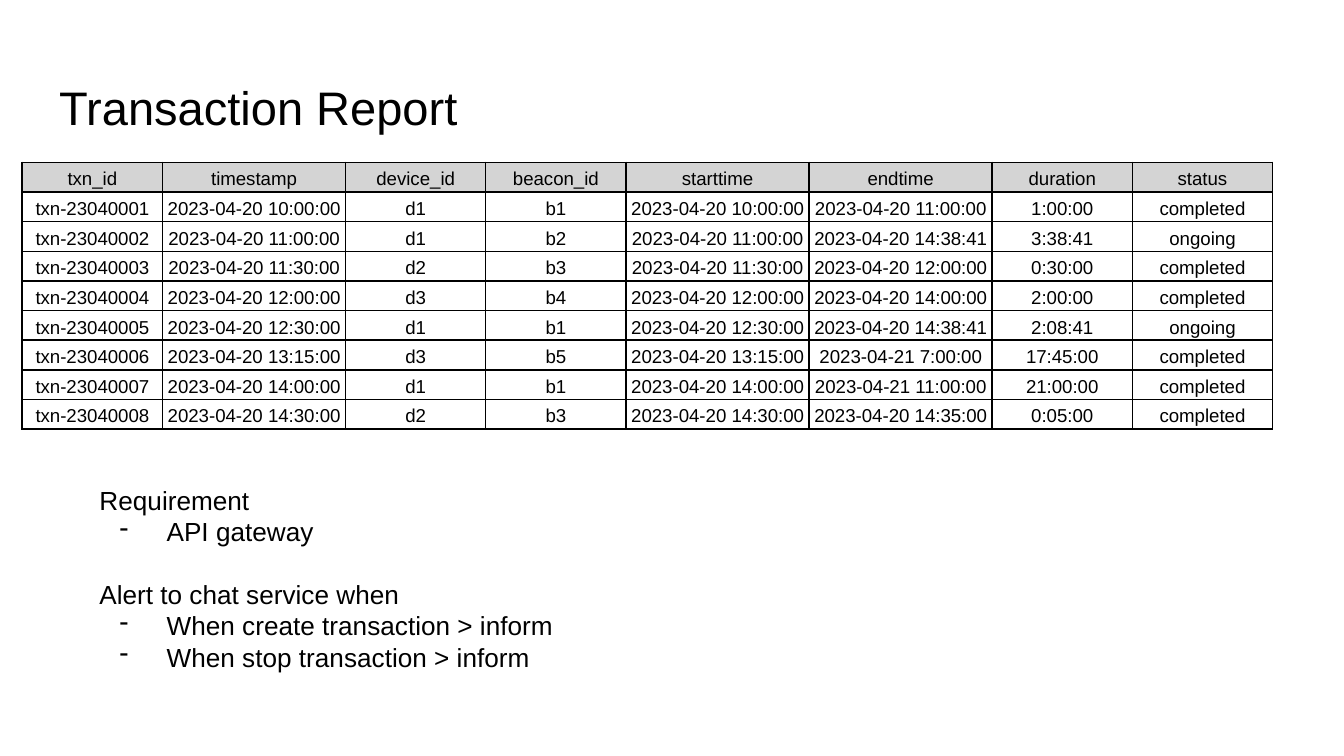
from lxml import etree
from pptx import Presentation, util as u
from pptx.dml.color import RGBColor
from pptx.enum import text
from pptx.oxml import ns

BLACK = RGBColor(0x00, 0x00, 0x00)
HEADER_GREY = RGBColor(0xD4, 0xD4, 0xD4)

HEADINGS = ["txn_id", "timestamp", "device_id", "beacon_id",
            "starttime", "endtime", "duration", "status"]
# device, beacon, start, end, duration, status
TRANSACTIONS = [
    ("d1", "b1", "2023-04-20 10:00:00", "2023-04-20 11:00:00", "1:00:00", "completed"),
    ("d1", "b2", "2023-04-20 11:00:00", "2023-04-20 14:38:41", "3:38:41", "ongoing"),
    ("d2", "b3", "2023-04-20 11:30:00", "2023-04-20 12:00:00", "0:30:00", "completed"),
    ("d3", "b4", "2023-04-20 12:00:00", "2023-04-20 14:00:00", "2:00:00", "completed"),
    ("d1", "b1", "2023-04-20 12:30:00", "2023-04-20 14:38:41", "2:08:41", "ongoing"),
    ("d3", "b5", "2023-04-20 13:15:00", "2023-04-21 7:00:00", "17:45:00", "completed"),
    ("d1", "b1", "2023-04-20 14:00:00", "2023-04-21 11:00:00", "21:00:00", "completed"),
    ("d2", "b3", "2023-04-20 14:30:00", "2023-04-20 14:35:00", "0:05:00", "completed"),
]
# text, bulleted, space before in points
NOTES = [
    ("Requirement", False, 0),
    ("API gateway", True, 0),
    ("Alert to chat service when", False, 16.8),
    ("When create transaction > inform", True, 0),
    ("When stop transaction > inform", True, 0),
]

CELL_FORMAT = {
    "margin_left": u.Cm(0.08), "margin_right": u.Cm(0.08),
    "margin_top": u.Cm(0.03), "margin_bottom": u.Cm(0.04),
    "vertical_anchor": text.MSO_ANCHOR.BOTTOM,
}
FRAME_FORMAT = {
    "margin_left": u.Cm(0.25), "margin_right": u.Cm(0.25),
    "margin_top": u.Cm(0.25), "margin_bottom": u.Cm(0.25),
    "word_wrap": True,
}


def write(paragraph, words, size):
    run = paragraph.add_run()
    run.text = words
    run.font.name = "Arial"
    run.font.size = u.Pt(size)
    run.font.color.rgb = BLACK


def add_frame(left, top, width, height):
    frame = slide.shapes.add_textbox(
        u.Cm(left), u.Cm(top), u.Cm(width), u.Cm(height)).text_frame
    for key, value in FRAME_FORMAT.items():
        setattr(frame, key, value)
    return frame


deck = Presentation()
deck.slide_width, deck.slide_height = u.Cm(25.4), u.Cm(14.29)
slide = deck.slides.add_slide(deck.slide_layouts[6])

# Title
title = add_frame(0.87, 1.24, 23.67, 1.6)
write(title.paragraphs[0], "Transaction Report", 25.2)

# Report table: the timestamp of a transaction is its start time
report_rows = [HEADINGS]
for number, (device, beacon, start, *outcome) in enumerate(TRANSACTIONS, 1):
    report_rows.append([f"txn-{23040000 + number}", start, device, beacon, start, *outcome])

column_widths = [3.46 if "time" in heading else 2.65 for heading in HEADINGS]
row_height = 0.56
report = slide.shapes.add_table(
    len(report_rows), len(HEADINGS), u.Cm(0.42), u.Cm(3.07),
    u.Cm(sum(column_widths)), u.Cm(row_height * len(report_rows))).table
for column, width in zip(report.columns, column_widths):
    column.width = u.Cm(width)

for r, values in enumerate(report_rows):
    report.rows[r].height = u.Cm(row_height)
    for c, value in enumerate(values):
        cell = report.cell(r, c)
        for key, setting in CELL_FORMAT.items():
            setattr(cell, key, setting)

        # Borders come before the fill in the cell properties
        properties = cell._tc.get_or_add_tcPr()
        for side in ("a:lnL", "a:lnR", "a:lnT", "a:lnB"):
            border = etree.SubElement(properties, ns.qn(side), w=str(u.Pt(0.94)))
            paint = etree.SubElement(border, ns.qn("a:solidFill"))
            etree.SubElement(paint, ns.qn("a:srgbClr"), val=str(BLACK))
        if r == 0:
            cell.fill.solid()
            cell.fill.fore_color.rgb = HEADER_GREY
        else:
            cell.fill.background()

        entry = cell.text_frame.paragraphs[0]
        entry.alignment = text.PP_ALIGN.CENTER
        entry.line_spacing = 1.15
        write(entry, value, 10)

# Requirement and alert notes
notes = add_frame(1.63, 8.9, 12.9, 4.11)
notes.auto_size = text.MSO_AUTO_SIZE.SHAPE_TO_FIT_TEXT
for i, (words, bulleted, gap) in enumerate(NOTES):
    note = notes.add_paragraph() if i else notes.paragraphs[0]
    note.space_before = u.Pt(gap)
    write(note, words, 14)
    if bulleted:
        properties = note._p.get_or_add_pPr()
        properties.set("marL", str(u.Cm(1.27)))
        properties.set("indent", str(u.Cm(-0.89)))
        bullet_color = etree.SubElement(properties, ns.qn("a:buClr"))
        etree.SubElement(bullet_color, ns.qn("a:srgbClr"), val=str(BLACK))
        etree.SubElement(properties, ns.qn("a:buChar"), char="-")

deck.save("out.pptx")
